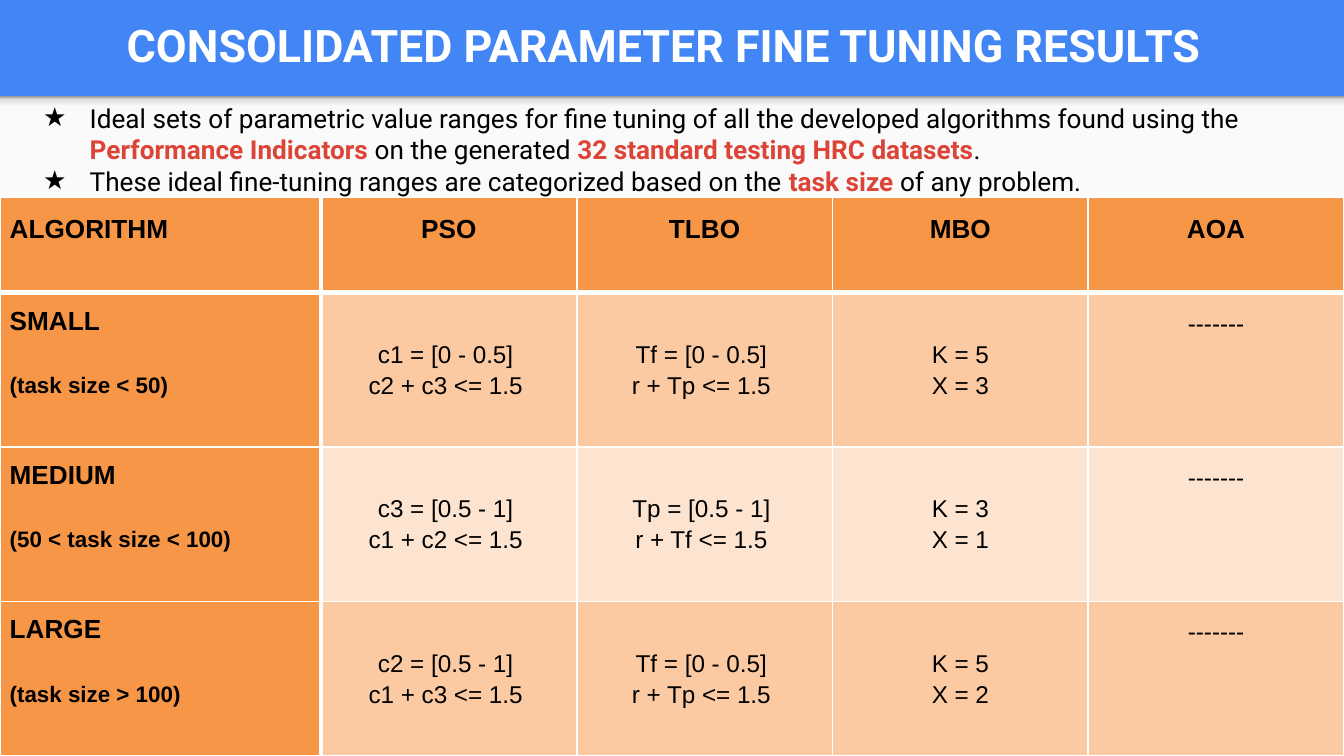
from lxml.etree import SubElement
from pptx import Presentation
from pptx.dml.color import RGBColor
from pptx.enum.shapes import MSO_SHAPE
from pptx.enum.text import MSO_ANCHOR, MSO_AUTO_SIZE, PP_ALIGN
from pptx.oxml import parse_xml
from pptx.oxml.ns import nsdecls, qn
from pptx.util import Pt

HUES = {"blue": "4285F4", "paper": "FAFAFA", "white": "FFFFFF", "black": "000000",
        "red": "DB4437", "head": "F79646", "dark": "FBCAA2", "pale": "FDE4D0"}


def hue(name):
    return RGBColor.from_string(HUES[name])


def add_run(para, text, size, face="Arial", tint="black", bold=False):
    run = para.add_run()
    run.text = text
    font = run.font
    font.size, font.name, font.bold = Pt(size), face, bold
    font.color.rgb = hue(tint)


deck = Presentation()
deck.slide_width, deck.slide_height = Pt(720), Pt(405)
slide = deck.slides.add_slide(deck.slide_layouts[5])
shapes = slide.shapes
back = slide.background.fill
back.solid()
back.fore_color.rgb = hue("blue")

# Title
title = shapes.title
title.left, title.top, title.width, title.height = Pt(8), Pt(0), Pt(695), Pt(47.5)
frame = title.text_frame
frame.word_wrap = True
frame.auto_size = MSO_AUTO_SIZE.NONE
frame.vertical_anchor = MSO_ANCHOR.MIDDLE
frame.margin_left = frame.margin_right = frame.margin_top = frame.margin_bottom = Pt(7.2)
para = frame.paragraphs[0]
para.alignment = PP_ALIGN.CENTER
add_run(para, "CONSOLIDATED PARAMETER FINE TUNING RESULTS", 24, "Roboto", "white", True)

# Light body panel and the shade under the title band
panel = shapes.add_shape(MSO_SHAPE.RECTANGLE, Pt(0), Pt(51.6), Pt(720), Pt(353.4))
panel.fill.solid()
panel.fill.fore_color.rgb = hue("paper")
shade = shapes.add_shape(MSO_SHAPE.RECTANGLE, Pt(0), Pt(51.6), Pt(720), Pt(8.5))
stops = [(0, "F9F9F9"), (36, "F9F9F9"), (80, "DEDEDE"), (100, "999999")]
marks = "".join(f'<a:gs pos="{pos * 1000}"><a:srgbClr val="{tone}"/></a:gs>' for pos, tone in stops)
shade.fill.gradient()
grad = shade.element.spPr.find(qn("a:gradFill"))
grad.getparent().replace(grad, parse_xml(
    f'<a:gradFill {nsdecls("a")}><a:gsLst>{marks}</a:gsLst>'
    '<a:lin ang="16200000" scaled="0"/></a:gradFill>'))
for shape in (panel, shade):
    shape.line.fill.background()
    shape.shadow.inherit = False

# Table: each cell is a list of lines
rows = [
    [["ALGORITHM"], ["PSO"], ["TLBO"], ["MBO"], ["AOA"]],
    [["SMALL", "(task size < 50)"], ["c1 = [0 - 0.5] ", "c2 + c3 <= 1.5 "],
     ["Tf = [0 - 0.5] ", "r + Tp <= 1.5 "], ["K = 5", "X = 3"], ["-------"]],
    [["MEDIUM", "(50 < task size < 100)"], ["c3 = [0.5 - 1] ", "c1 + c2 <= 1.5 "],
     ["Tp = [0.5 - 1] ", "r + Tf <= 1.5 "], ["K = 3", "X = 1"], ["-------"]],
    [["LARGE", "(task size > 100)"], ["c2 = [0.5 - 1] ", "c1 + c3 <= 1.5 "],
     ["Tf = [0 - 0.5] ", "r + Tp <= 1.5 "], ["K = 5", "X = 2"], ["-------"]],
]
grid = shapes.add_table(4, 5, Pt(0), Pt(105.6), Pt(720), Pt(299.4)).table
for i, col in enumerate(grid.columns):
    col.width = Pt(137 if i else 172)
for i, row in enumerate(grid.rows):
    row.height = Pt(82.7 if i else 51.3)

for r, row in enumerate(rows):
    for c, lines in enumerate(row):
        cell = grid.cell(r, c)
        head = r == 0 or c == 0
        # Borders: thick below the header row and beside the first column
        thick = {"L": c == 1, "R": c == 0 and r > 0, "T": r == 1, "B": r == 0}
        props = cell._tc.get_or_add_tcPr()
        for side, wide in thick.items():
            edge = SubElement(props, qn(f"a:ln{side}"), w=str(Pt(3 if wide else 1)))
            solid = SubElement(edge, qn("a:solidFill"))
            SubElement(solid, qn("a:srgbClr"), val=HUES["white"])
        cell.fill.solid()
        cell.fill.fore_color.rgb = hue("head" if head else "dark" if r % 2 else "pale")
        cell.margin_left = cell.margin_right = Pt(5.2)
        cell.margin_bottom = Pt(7.2)
        cell.margin_top = Pt(7.2 if head or len(lines) == 1 else 23.9)
        for i, line in enumerate(lines):
            frame = cell.text_frame
            para = frame.add_paragraph() if i else frame.paragraphs[0]
            para.alignment = PP_ALIGN.CENTER if c else PP_ALIGN.LEFT
            para.line_spacing = 1.0 if r and c == 0 and i == 0 else 1.15
            para.space_before = Pt(18 if head and i else 0)
            size = 13 if not head else 12 if i else 14
            add_run(para, line, size, bold=head)

# Bulleted notes; red parts are flagged
notes = [
    [("Ideal sets of parametric value ranges for fine tuning of all the developed "
      "algorithms found using the ", False), ("Performance Indicators", True),
     (" on the generated ", False), ("32 standard testing HRC datasets", True), (".", False)],
    [("These ideal fine-tuning ranges are categorized based on the ", False),
     ("task size ", True), ("of any problem.", False)],
]
box = shapes.add_textbox(Pt(5), Pt(47.5), Pt(710), Pt(65.5))
frame = box.text_frame
frame.word_wrap = True
frame.auto_size = MSO_AUTO_SIZE.SHAPE_TO_FIT_TEXT
frame.margin_left = frame.margin_right = frame.margin_top = frame.margin_bottom = Pt(7.2)
for i, note in enumerate(notes):
    para = frame.add_paragraph() if i else frame.paragraphs[0]
    props = para._p.get_or_add_pPr()
    props.set("marL", str(Pt(36)))
    props.set("indent", str(Pt(-25)))
    tint = SubElement(props, qn("a:buClr"))
    SubElement(tint, qn("a:srgbClr"), val=HUES["black"])
    SubElement(props, qn("a:buSzPts"), val="1400")
    SubElement(props, qn("a:buFont"), typeface="Roboto")
    SubElement(props, qn("a:buChar"), char="★")
    for text, key in note:
        add_run(para, text, 14, "Roboto", "red" if key else "black", key)

deck.save("out.pptx")
